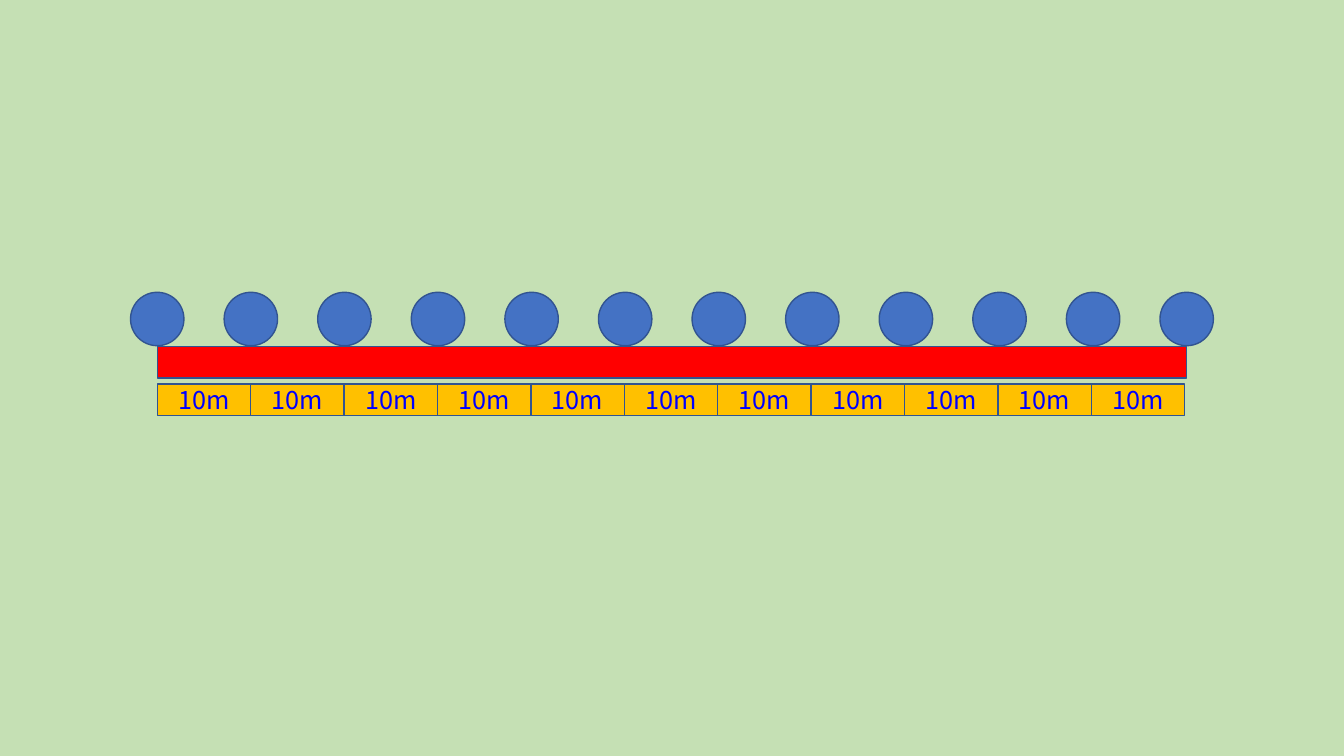
from dataclasses import dataclass

from pptx import Presentation
from pptx.dml.color import RGBColor
from pptx.enum.shapes import MSO_SHAPE
from pptx.enum.text import MSO_ANCHOR, PP_ALIGN
from pptx.shapes.autoshape import Shape
from pptx.shapes.shapetree import GroupShapes, SlideShapes
from pptx.util import Inches, Pt

RECTANGLE, OVAL = MSO_SHAPE.RECTANGLE, MSO_SHAPE.OVAL
CENTER, MIDDLE = PP_ALIGN.CENTER, MSO_ANCHOR.MIDDLE

BACKGROUND = RGBColor(0xC5, 0xE0, 0xB4)
OUTLINE = RGBColor(0x32, 0x54, 0x91)
ROAD_RED = RGBColor(0xFF, 0x00, 0x00)
TREE_BLUE = RGBColor(0x44, 0x72, 0xC4)
SECTION_GOLD = RGBColor(0xFF, 0xC0, 0x00)
LABEL_BLUE = RGBColor(0x00, 0x00, 0xFF)
FONT = "Noto Sans CJK KR"

SECTION_COUNT = 11
ROAD_LEFT, ROAD_TOP = 1.56, 3.44
ROAD_WIDTH, BAR_HEIGHT = 10.21, 0.31
TREE_TOP, TREE_SIZE = 2.9, 0.53
SECTIONS_TOP, SECTIONS_WIDTH = 3.81, 10.19


@dataclass(frozen=True)
class Box:
    """Position and size in inches."""
    left: float
    top: float
    width: float
    height: float


def add_figure(shapes: SlideShapes | GroupShapes, kind: MSO_SHAPE,
               box: Box, fill: RGBColor) -> Shape:
    sp = shapes.add_shape(kind, Inches(box.left), Inches(box.top),
                          Inches(box.width), Inches(box.height))
    sp.shadow.inherit = False
    sp.fill.solid()
    sp.fill.fore_color.rgb = fill
    sp.line.color.rgb = OUTLINE
    sp.line.width = Pt(1)
    return sp


def add_label(sp: Shape, text: str) -> None:
    tf = sp.text_frame
    tf.vertical_anchor = MIDDLE
    p = tf.paragraphs[0]
    p.text = text
    p.alignment = CENTER
    p.font.name = FONT
    p.font.size = Pt(18)
    p.font.color.rgb = LABEL_BLUE


def main() -> None:
    prs = Presentation()
    prs.slide_width, prs.slide_height = Inches(13.33), Inches(7.5)
    s = prs.slides.add_slide(prs.slide_layouts[6])
    s.background.fill.solid()
    s.background.fill.fore_color.rgb = BACKGROUND

    road = Box(ROAD_LEFT, ROAD_TOP, ROAD_WIDTH, BAR_HEIGHT)
    add_figure(s.shapes, RECTANGLE, road, ROAD_RED)

    # One tree stands at each end of every section.
    tree_step = ROAD_WIDTH / SECTION_COUNT
    for i in range(SECTION_COUNT + 1):
        left = ROAD_LEFT + i * tree_step - TREE_SIZE / 2
        add_figure(s.shapes, OVAL, Box(left, TREE_TOP, TREE_SIZE, TREE_SIZE), TREE_BLUE)

    sections = s.shapes.add_group_shape().shapes
    width = SECTIONS_WIDTH / SECTION_COUNT
    for i in range(SECTION_COUNT):
        box = Box(ROAD_LEFT + i * width, SECTIONS_TOP, width, BAR_HEIGHT)
        add_label(add_figure(sections, RECTANGLE, box, SECTION_GOLD), "10m")

    prs.save("out.pptx")


if __name__ == "__main__":
    main()
